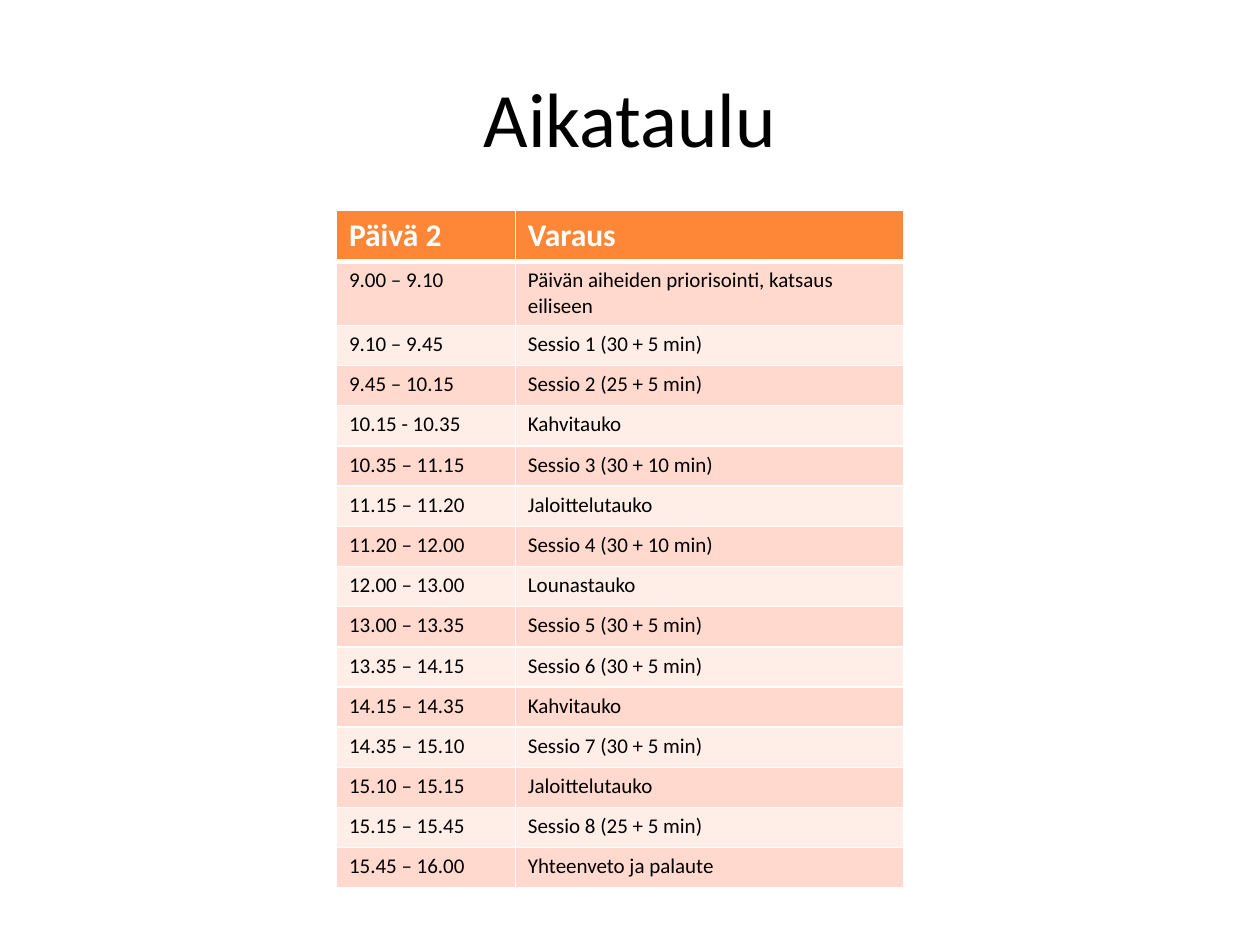
from dataclasses import dataclass
from typing import NamedTuple

from lxml import etree
from pptx import Presentation
from pptx.dml.color import RGBColor
from pptx.enum.text import MSO_ANCHOR, PP_ALIGN
from pptx.oxml.ns import qn
from pptx.util import Inches, Pt

MIDDLE, TOP = MSO_ANCHOR.MIDDLE, MSO_ANCHOR.TOP
CENTER, LEFT = PP_ALIGN.CENTER, PP_ALIGN.LEFT
TITLE_ONLY = 5
SLIDE_W, SLIDE_H = 10, 7.5


@dataclass(frozen=True)
class Theme:
    font: str = "Calibri"
    ink: str = "000000"
    paper: str = "FFFFFF"
    header: str = "FE8637"
    bands: tuple[str, str] = ("FFD9CE", "FFEDE8")
    title_size: int = 44
    header_size: int = 18
    body_size: int = 12
    rule: int = 1
    header_rule: int = 3


class Slot(NamedTuple):
    time: str
    booking: str


class Box(NamedTuple):
    left: float
    top: float
    width: float
    height: float


THEME = Theme()
TITLE_BOX = Box(SLIDE_W * 0.05, SLIDE_H * 0.04, SLIDE_W * 0.9, 1.25)
TABLE_BOX = Box(2.67, 1.67, SLIDE_W * 0.45, 5.31)
TIME_COLUMN = 1.42
HEADER_ROW, TWO_LINE_ROW = 0.37, 0.47
HEADER = Slot("Päivä 2", "Varaus")
SLOTS = [
    Slot("9.00 – 9.10", "Päivän aiheiden priorisointi, katsaus eiliseen"),
    Slot("9.10 – 9.45", "Sessio 1 (30 + 5 min)"),
    Slot("9.45 – 10.15", "Sessio 2 (25 + 5 min)"),
    Slot("10.15 - 10.35", "Kahvitauko"),
    Slot("10.35 – 11.15", "Sessio 3 (30 + 10 min)"),
    Slot("11.15 – 11.20", "Jaloittelutauko"),
    Slot("11.20 – 12.00", "Sessio 4 (30 + 10 min)"),
    Slot("12.00 – 13.00", "Lounastauko"),
    Slot("13.00 – 13.35", "Sessio 5 (30 + 5 min)"),
    Slot("13.35 – 14.15", "Sessio 6 (30 + 5 min)"),
    Slot("14.15 – 14.35", "Kahvitauko"),
    Slot("14.35 – 15.10", "Sessio 7 (30 + 5 min)"),
    Slot("15.10 – 15.15", "Jaloittelutauko"),
    Slot("15.15 – 15.45", "Sessio 8 (25 + 5 min)"),
    Slot("15.45 – 16.00", "Yhteenveto ja palaute"),
]


def write(tf, text: str, *, size: int, color: str, bold: bool = False, align=LEFT) -> None:
    p = tf.paragraphs[0]
    p.alignment = align
    r = p.add_run()
    r.text = text
    r.font.name = THEME.font
    r.font.size = Pt(size)
    r.font.bold = bold
    r.font.color.rgb = RGBColor.from_string(color)


def set_borders(cell, top: int, bottom: int) -> None:
    """Rule all four sides; must run before the cell is filled."""
    tcPr = cell._tc.get_or_add_tcPr()
    widths = {"L": THEME.rule, "R": THEME.rule, "T": top, "B": bottom}
    for side, width in widths.items():
        ln = etree.SubElement(tcPr, qn(f"a:ln{side}"), w=str(Pt(width)))
        fill = etree.SubElement(ln, qn("a:solidFill"))
        etree.SubElement(fill, qn("a:srgbClr"), val=THEME.paper)


def add_title(s, text: str, box: Box) -> None:
    title = s.shapes.title
    title.left, title.top, title.width, title.height = map(Inches, box)
    title.text_frame.vertical_anchor = MIDDLE
    write(title.text_frame, text, size=THEME.title_size, color=THEME.ink, align=CENTER)


def fill_row(table, row: int, slot: Slot) -> None:
    is_header = row == 0
    top = THEME.header_rule if row == 1 else THEME.rule
    bottom = THEME.header_rule if is_header else THEME.rule
    for col, text in enumerate(slot):
        cell = table.cell(row, col)
        set_borders(cell, top, bottom)
        cell.fill.solid()
        color = THEME.header if is_header else THEME.bands[(row - 1) % 2]
        cell.fill.fore_color.rgb = RGBColor.from_string(color)
        cell.vertical_anchor = TOP
        write(cell.text_frame, text, bold=is_header,
              size=THEME.header_size if is_header else THEME.body_size,
              color=THEME.paper if is_header else THEME.ink)


def add_schedule(s, rows: list[Slot], box: Box) -> None:
    table = s.shapes.add_table(len(rows), 2, *map(Inches, box)).table
    table.columns[0].width = Inches(TIME_COLUMN)
    table.columns[1].width = Inches(box.width - TIME_COLUMN)
    one_line = (box.height - HEADER_ROW - TWO_LINE_ROW) / (len(rows) - 2)
    heights = [HEADER_ROW, TWO_LINE_ROW] + [one_line] * (len(rows) - 2)
    for row, (slot, height) in enumerate(zip(rows, heights)):
        table.rows[row].height = Inches(height)
        fill_row(table, row, slot)


def main() -> None:
    prs = Presentation()
    prs.slide_width, prs.slide_height = Inches(SLIDE_W), Inches(SLIDE_H)
    s = prs.slides.add_slide(prs.slide_layouts[TITLE_ONLY])
    add_title(s, "Aikataulu", TITLE_BOX)
    add_schedule(s, [HEADER, *SLOTS], TABLE_BOX)
    prs.save("out.pptx")


if __name__ == "__main__":
    main()
